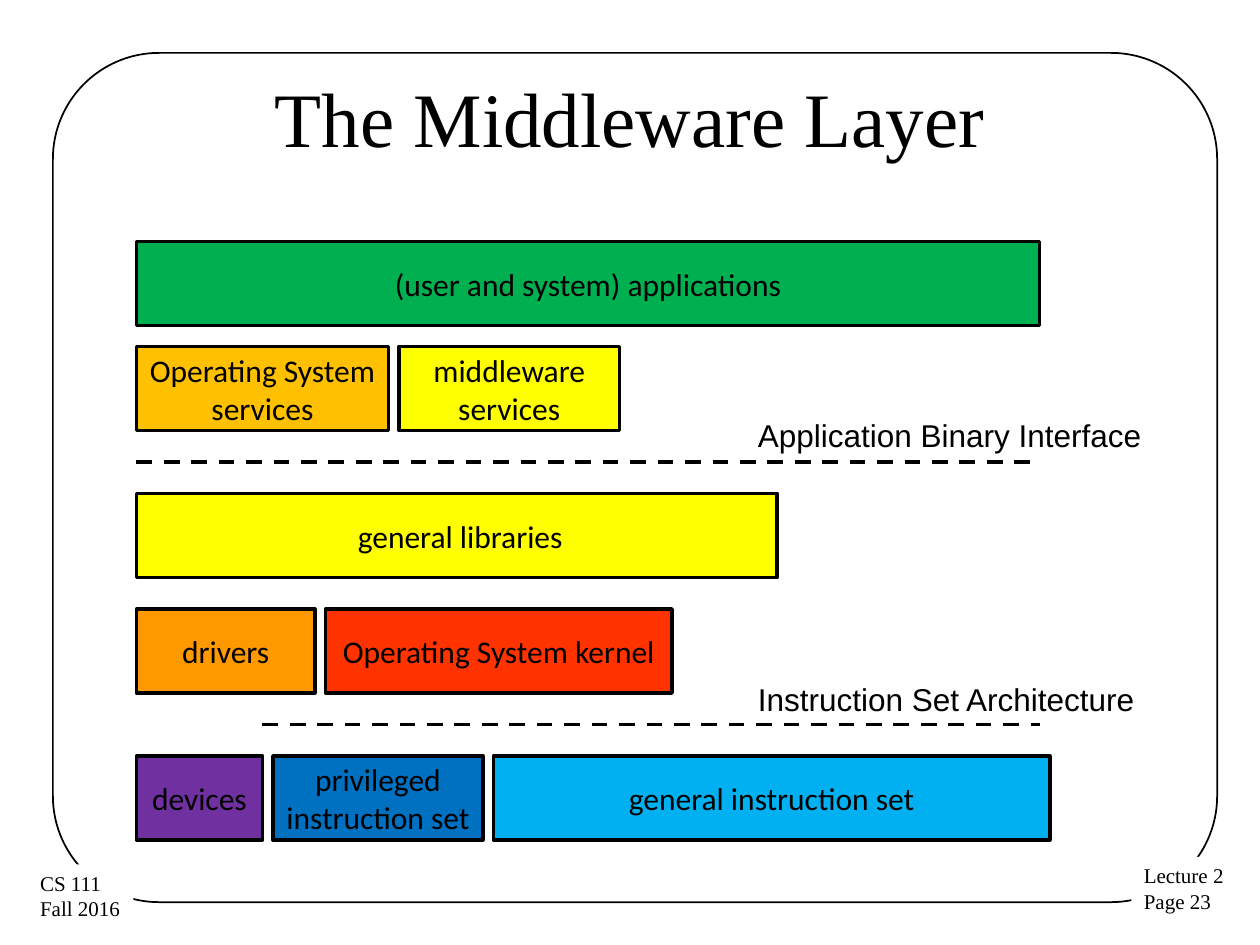
import pptx
import pptx.util
import pptx.dml.color
import pptx.enum.dml
import pptx.enum.shapes
import pptx.enum.text
import pptx.oxml.ns
import lxml.etree

Pt = pptx.util.Pt
RGB = pptx.dml.color.RGBColor
SHAPE = pptx.enum.shapes.MSO_SHAPE
ALIGN = pptx.enum.text.PP_ALIGN
ANCHOR = pptx.enum.text.MSO_ANCHOR

BLACK = RGB(0, 0, 0)
WHITE = RGB(255, 255, 255)
GREEN = RGB(0, 176, 80)
GOLD = RGB(255, 192, 0)
YELLOW = RGB(255, 255, 0)
ORANGE = RGB(255, 153, 0)
RED = RGB(255, 51, 0)
PURPLE = RGB(112, 48, 160)
BLUE = RGB(0, 112, 192)
SKY = RGB(0, 176, 240)

TITLE = "The Middleware Layer"
LAYERS = [
    (23, [("(user and system) applications", 86, GREEN)]),
    (33, [("Operating System services", 24, GOLD),
          ("middleware services", 21, YELLOW)]),
    (47, [(" general libraries", 61, YELLOW)]),
    (58, [("drivers", 17, ORANGE),
          ("Operating System kernel", 33, RED)]),
    (72, [("devices", 12, PURPLE),
          ("privileged instruction set", 20, BLUE),
          ("general instruction set", 53, SKY)]),
]
BOUNDS = [
    ("Application Binary Interface", 39, 13, 44),
    ("Instruction Set Architecture", 64.2, 25, 69),
]
NOTES = [
    ("Lecture 2\nPage 23", 8.98, 6.8),
    ("CS 111\nFall 2016", 0.22, 6.86),
]
LEFT, RIGHT, GAP, HIGH = 13, 99, 1, 8

deck = pptx.Presentation()
deck.slide_width = pptx.util.Inches(10)
deck.slide_height = pptx.util.Inches(7.5)
UNIT = deck.slide_width / 120
slide = deck.slides.add_slide(deck.slide_layouts[6])


def grid(*cells):
    return [round(cell * UNIT) for cell in cells]


def inch(*sizes):
    return [pptx.util.Inches(size) for size in sizes]


def write(shape, text, font, size, align=ALIGN.LEFT, anchor=ANCHOR.TOP, wrap=True):
    frame = shape.text_frame
    frame.text = text
    frame.word_wrap = wrap
    frame.vertical_anchor = anchor
    for para in frame.paragraphs:
        para.alignment = align
        for run in para.runs:
            run.font.name = font
            run.font.size = Pt(size)
            run.font.color.rgb = BLACK


def block(kind, box, fill=None, width=0):
    shape = slide.shapes.add_shape(kind, *box)
    shape.shadow.inherit = False
    if fill is None:
        shape.fill.background()
    else:
        shape.fill.solid()
        shape.fill.fore_color.rgb = fill
    if width:
        shape.line.color.rgb = BLACK
        shape.line.width = Pt(width)
    else:
        shape.line.fill.background()
    return shape


def dash(start, end, row):
    line = slide.shapes.add_connector(
        pptx.enum.shapes.MSO_CONNECTOR.STRAIGHT, *grid(start, row, end, row))
    line.line.color.rgb = BLACK
    line.line.width = Pt(2.25)
    line.line.dash_style = pptx.enum.dml.MSO_LINE.DASH
    props = line._element.spPr
    lxml.etree.SubElement(props, pptx.oxml.ns.qn("a:effectLst"))


frame = block(SHAPE.ROUNDED_RECTANGLE, inch(0.42, 0.42, 9.24, 6.74), width=1)
frame.adjustments[0] = 0.125

for text, left, top in NOTES:
    note = block(SHAPE.RECTANGLE, inch(left, top, 0.84, 0.51), WHITE)
    write(note, text, "Times New Roman", 12, wrap=False)

title = slide.shapes.add_textbox(*inch(0.5, 0.3, 9, 1.25))
write(title, TITLE, "Times New Roman", 44, ALIGN.CENTER, ANCHOR.MIDDLE)

for row, parts in LAYERS:
    col = LEFT
    for text, wide, fill in parts:
        part = block(SHAPE.RECTANGLE, grid(col, row, wide, HIGH), fill, 2)
        write(part, text, "Calibri", 18, ALIGN.CENTER, ANCHOR.MIDDLE)
        col += wide + GAP

for text, top, start, row in BOUNDS:
    dash(start, RIGHT, row)
    label = slide.shapes.add_textbox(*grid(71, top, 39, 4.8))
    write(label, text, "Arial", 18)

deck.save("out.pptx")
